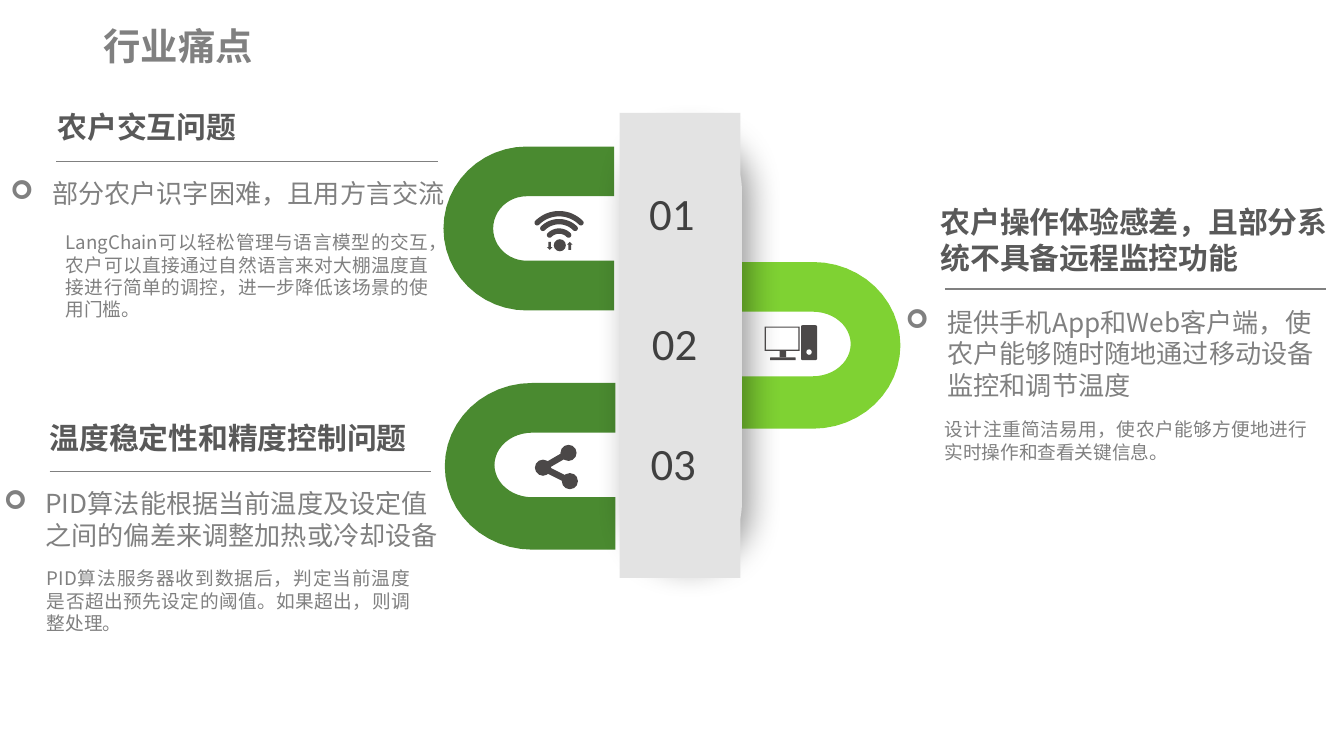
"""Build a slide on three farming pain points around a numbered central panel."""
import math
from lxml import etree
from pptx import Presentation, util as u
from pptx.dml.color import RGBColor
from pptx.enum import shapes, text
from pptx.oxml import ns, parse_xml

CJK = "Noto Sans CJK SC"
THEME = {
    "dark_green": "4A8A30", "light_green": "7FD233", "panel": "E3E3E3",
    "icon": "4B4848", "white": "FFFFFF", "rule": "808080",
    "title": (20, CJK, "808080", True), "heading": (16, CJK, "595959", True),
    "bullet": (14, CJK, "808080", False), "detail": (10, CJK, "808080", False),
    "number": (24, "Calibri", "404040", False),
}


def arc(center_x, center_y, radius_x, radius_y, start, end, steps=24):
    """Return points in inches along an elliptical arc given in degrees."""
    angles = [math.radians(start + (end - start) * step / steps) for step in range(steps + 1)]
    return [(center_x + radius_x * math.cos(a), center_y + radius_y * math.sin(a)) for a in angles]


def draw(target, outline, color):
    """Draw a plain filled shape from a preset with its box, or from a list of points."""
    if isinstance(outline, tuple):
        preset, *place = outline
        shape = target.add_shape(preset, *map(u.Inches, place))
    else:
        points = [(u.Inches(x), u.Inches(y)) for x, y in outline]
        builder = target.build_freeform(*points[0], scale=1.0)
        builder.add_line_segments(points[1:], close=True)
        shape = builder.convert_to_shape()
    shape.fill.solid()
    shape.fill.fore_color.rgb = RGBColor.from_string(THEME[color])
    shape.line.fill.background()
    shape.shadow.inherit = False
    return shape


deck = Presentation()
deck.slide_width = u.Inches(10)
deck.slide_height = deck.slide_width * 9 // 16
slide = deck.slides.add_slide(deck.slide_layouts[6])
canvas = slide.shapes
kind = shapes.MSO_SHAPE

band, opening = 0.37, 0.48
for open_x, bend_x, tip, top, bottom, color in (
    (4.57, 3.92, 3.30, 1.09, 2.31, "dark_green"),
    (5.43, 6.05, 6.70, 1.95, 3.19, "light_green"),
    (4.58, 3.96, 3.31, 2.85, 4.09, "dark_green"),
):
    reach = bend_x - tip
    inner_top = top + band
    outer = arc(bend_x, (top + bottom) / 2, reach, (bottom - top) / 2, 90, 270)
    inner = arc(bend_x, inner_top + opening / 2, reach - math.copysign(band, reach), opening / 2, 270, 90)
    draw(canvas, [(open_x, bottom), *outer, (open_x, top), (open_x, inner_top), *inner,
                  (open_x, inner_top + opening)], color)

panel = canvas.add_group_shape().shapes
back = draw(panel, (kind.ROUNDED_RECTANGLE, 4.61, 1, 0.9, 3.22), "panel")
front = draw(panel, (kind.ROUNDED_RECTANGLE, 4.65, 0.97, 0.87, 3.22), "panel")
for pill in (back, front):
    pill.adjustments[0] = 0.5
draw(panel, (kind.RECTANGLE, 4.61, 0.84, 0.9, 3.46), "panel")
effects = back._element.spPr.find(ns.qn("a:effectLst"))
effects.append(parse_xml(
    f'<a:outerShdw {ns.nsdecls("a")} blurRad="{u.Pt(18)}" dist="{u.Pt(5)}" dir="0" algn="l" rotWithShape="0">'
    '<a:srgbClr val="000000"><a:alpha val="40000"/></a:srgbClr></a:outerShdw>'))

wifi = canvas.add_group_shape().shapes
hub_x, hub_y, cap = 4.16, 1.82, 0.02
for radius in (0.1, 0.17, 0.23):
    side = radius * math.sqrt(0.5)
    draw(wifi, arc(hub_x, hub_y, radius + cap, radius + cap, 225, 315)
         + arc(hub_x + side, hub_y - side, cap, cap, -45, 135, 8)
         + arc(hub_x, hub_y, radius - cap, radius - cap, 315, 225)
         + arc(hub_x - side, hub_y - side, cap, cap, 45, 225, 8), "icon")
draw(wifi, (kind.OVAL, 4.12, 1.78, 0.09, 0.09), "icon")
draw(wifi, (kind.UP_ARROW, 4.22, 1.8, 0.04, 0.06), "icon")
draw(wifi, (kind.DOWN_ARROW, 4.07, 1.8, 0.04, 0.06), "icon")

computer = canvas.add_group_shape().shapes
screen = draw(computer, (kind.FRAME, 5.69, 2.43, 0.26, 0.18), "icon")
screen.adjustments[0] = 0.05
draw(computer, (kind.RECTANGLE, 5.8, 2.61, 0.05, 0.05), "icon")
draw(computer, (kind.ROUNDED_RECTANGLE, 5.73, 2.66, 0.19, 0.02), "icon")
tower = draw(computer, (kind.ROUNDED_RECTANGLE, 5.96, 2.42, 0.12, 0.26), "icon")
tower.adjustments[0] = 0.1
draw(computer, (kind.OVAL, 6, 2.6, 0.04, 0.04), "white")

share = canvas.add_group_shape().shapes
nodes = ((4.04, 3.48), (4.23, 3.37), (4.24, 3.58))
for x, y in nodes:
    draw(share, (kind.OVAL, x - 0.06, y - 0.06, 0.12, 0.12), "icon")

lines = [(canvas, (x, y), (x + 2.84, y), "rule", 0.75) for x, y in ((0.42, 1.2), (0.37, 3.51), (7.03, 2.15))]
lines += [(share, nodes[0], node, "icon", 3.5) for node in nodes[1:]]
for target, start, end, color, width in lines:
    line = target.add_connector(shapes.MSO_CONNECTOR.STRAIGHT, *map(u.Inches, start + end))
    line.line.color.rgb = RGBColor.from_string(THEME[color])
    line.line.width = u.Pt(width)
    etree.SubElement(line._element.spPr, ns.qn("a:effectLst"))

for target, role, place, words in (
    (panel, "number", (4.76, 1.34, 0.49, 0.39), "01"),
    (panel, "number", (4.78, 2.31, 0.49, 0.39), "02"),
    (panel, "number", (4.77, 3.2, 0.49, 0.39), "03"),
    (canvas, "title", (0.67, 0.12, 1.65, 0.44), "行业痛点"),
    (canvas, "heading", (0.33, 0.76, 1.89, 0.37), "农户交互问题"),
    (canvas, "bullet", (-0.02, 1.27, 3.44, 0.34), "部分农户识字困难，且用方言交流"),
    (canvas, "detail", (0.42, 1.68, 2.84, 0.75),
     "LangChain可以轻松管理与语言模型的交互，农户可以直接通过自然语言来对大棚温度直接进行简单的调控，进一步降低该场景的使用门槛。"),
    (canvas, "heading", (0.27, 3.07, 2.98, 0.37), "温度稳定性和精度控制问题"),
    (canvas, "bullet", (-0.07, 3.58, 3.44, 0.57), "PID算法能根据当前温度及设定值之间的偏差来调整加热或冷却设备"),
    (canvas, "detail", (0.28, 4.18, 2.84, 0.58),
     "PID算法服务器收到数据后，判定当前温度是否超出预先设定的阈值。如果超出，则调整处理。"),
    (canvas, "heading", (6.9, 1.47, 3.09, 0.64), "农户操作体验感差，且部分系统不具备远程监控功能"),
    (canvas, "bullet", (6.64, 2.23, 3.28, 0.81),
     "提供手机App和Web客户端，使农户能够随时随地通过移动设备监控和调节温度"),
    (canvas, "detail", (6.96, 3.07, 2.84, 0.41), "设计注重简洁易用，使农户能够方便地进行实时操作和查看关键信息。"),
):
    size, font, color, bold = THEME[role]
    box = target.add_textbox(*map(u.Inches, place))
    frame = box.text_frame
    frame.word_wrap = role != "number"
    frame.auto_size = text.MSO_AUTO_SIZE.SHAPE_TO_FIT_TEXT
    if role in ("number", "detail"):
        frame.margin_left = frame.margin_right = u.Inches(0.07)
        frame.margin_top = frame.margin_bottom = u.Inches(0.04)
    frame.text = words
    para = frame.paragraphs[0]
    span = para.runs[0]
    span.font.size, span.font.name, span.font.bold = u.Pt(size), font, bold
    span.font.color.rgb = RGBColor.from_string(color)
    etree.SubElement(span._r.get_or_add_rPr(), ns.qn("a:ea"), typeface=font)
    if role == "detail":
        para.alignment = text.PP_ALIGN.JUSTIFY
        para.line_spacing = u.Pt(12)
    if role == "bullet":
        layout = para._p.get_or_add_pPr()
        layout.set("marL", str(u.Inches(0.31)))
        layout.set("indent", str(-u.Inches(0.31)))
        etree.SubElement(layout, ns.qn("a:buFont"), typeface="Wingdings")
        etree.SubElement(layout, ns.qn("a:buChar"), char="➢")

deck.save("out.pptx")
